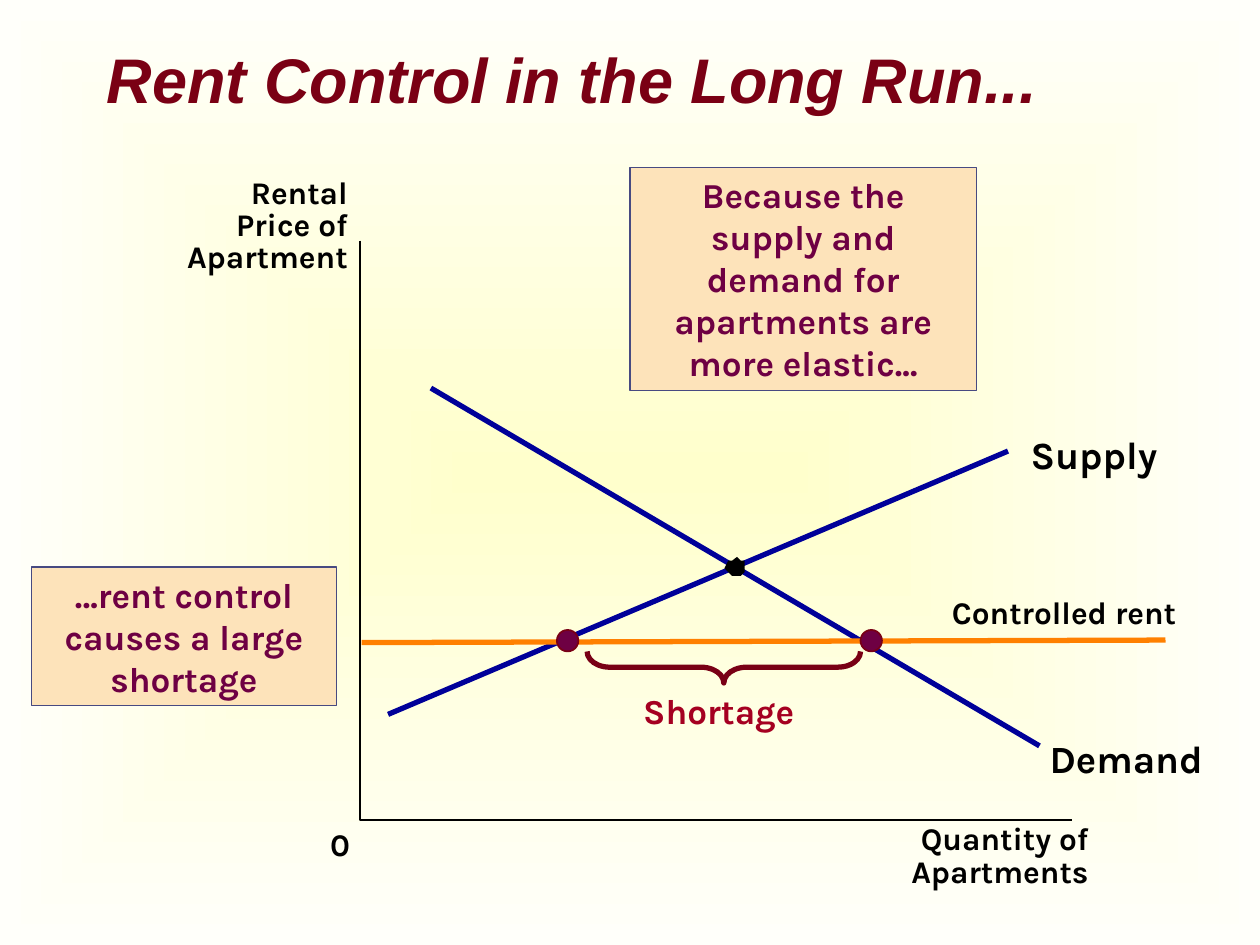
from lxml import etree
from pptx import Presentation
from pptx.dml.color import RGBColor
from pptx.enum.dml import MSO_THEME_COLOR
from pptx.enum.shapes import MSO_CONNECTOR, MSO_SHAPE
from pptx.enum.text import MSO_ANCHOR, MSO_AUTO_SIZE, PP_ALIGN
from pptx.oxml.ns import qn
from pptx.util import Inches, Pt

LEFT, CENTER, RIGHT = PP_ALIGN.LEFT, PP_ALIGN.CENTER, PP_ALIGN.RIGHT
TOP, MIDDLE = MSO_ANCHOR.TOP, MSO_ANCHOR.MIDDLE
FIT = MSO_AUTO_SIZE.SHAPE_TO_FIT_TEXT
STRAIGHT = MSO_CONNECTOR.STRAIGHT
RECTANGLE, OVAL, BRACE = MSO_SHAPE.RECTANGLE, MSO_SHAPE.OVAL, MSO_SHAPE.LEFT_BRACE
ACCENT = MSO_THEME_COLOR.ACCENT_1

BLACK = RGBColor(0x00, 0x00, 0x00)
NAVY = RGBColor(0x00, 0x00, 0x99)
ORANGE = RGBColor(0xFF, 0x80, 0x00)
MAROON = RGBColor(0x7A, 0x00, 0x14)
DARK_RED = RGBColor(0x79, 0x00, 0x15)
RED = RGBColor(0xA5, 0x00, 0x21)
PLUM = RGBColor(0x6E, 0x00, 0x43)
PEACH = RGBColor(0xFD, 0xE3, 0xBA)
SLATE = RGBColor(0x47, 0x4A, 0x81)
CREAM = RGBColor(0xFF, 0xFF, 0xCC)
IVORY = RGBColor(0xFF, 0xFF, 0xFA)

TITLE = "Rent Control in the Long Run..."
LABELS = [
    (["Quantity of", "Apartments"], (7.15, 6.55, 1.49, 0.51), 18, RIGHT, 0.85, False),
    (["0"], (2.62, 6.55, 0.14, 0.3), 18, LEFT, 1, False),
    (["Rental Price of", "Apartment"], (1.42, 1.42, 1.34, 1.28), 18, RIGHT, 0.85, True),
    (["Demand"], (8.33, 5.83, 1.28, 0.37), 22, LEFT, 1, False),
    (["Supply"], (8.18, 3.42, 1.02, 0.37), 22, LEFT, 1, False),
    (["Controlled rent"], (7.49, 4.75, 1.91, 0.26), 18, CENTER, 0.85, False),
]
SHORTAGE = (["Shortage"], (4.83, 5.42, 1.75, 0.44))
CALLOUTS = [
    (["Because the supply and demand for apartments are more elastic..."], (5, 1.33, 2.75, 1.77)),
    (["…rent control causes a large shortage"], (0.25, 4.5, 2.42, 1.1)),
]
CURVES = [
    ((3.42, 3.08), (8.25, 5.92), NAVY),
    ((3.08, 5.67), (8, 3.58), NAVY),
    ((9.25, 5.08), (2.87, 5.1), ORANGE),
]
AXES = [(2.86, 1.91), (2.86, 6.51), (8.51, 6.51)]
EQUILIBRIUM = [(5.85, 4.57), (5.88, 4.57), (5.91, 4.54), (5.91, 4.45), (5.88, 4.45), (5.85, 4.42),
               (5.81, 4.45), (5.78, 4.45), (5.75, 4.51), (5.78, 4.54), (5.81, 4.57)]
SHORTAGE_ENDS = [6.83, 4.42]
DOT_TOP, DOT_SIZE = 5, 0.17
BRACE_AREA = (5.62, 4.21, 0.25, 2.17)
BRACE_CURVE = 0.72


def inches(values):
    return [Inches(value) for value in values]


def write(box, lines, size, color, align, spacing=1, wrap=True, margins=(0, 0),
          anchor=TOP, font="Karla", italic=False, fit=True):
    frame = box.text_frame
    frame.word_wrap = wrap
    if fit:
        frame.auto_size = FIT
    frame.vertical_anchor = anchor
    frame.margin_left = frame.margin_right = Inches(margins[0])
    frame.margin_top = frame.margin_bottom = Inches(margins[1])
    frame.text = "\n".join(lines)
    for para in frame.paragraphs:
        para.alignment = align
        para.line_spacing = spacing
        para.font.name = font
        para.font.size = Pt(size)
        para.font.bold = True
        para.font.italic = italic
        para.font.color.rgb = color


def paint(shape, fill, line, width=1):
    shape.shadow.inherit = False
    if fill is None:
        shape.fill.background()
    else:
        shape.fill.solid()
        shape.fill.fore_color.rgb = fill
    if line is None:
        shape.line.fill.background()
    else:
        shape.line.color.rgb = line
        shape.line.width = Pt(width)


def add_outline(page, points, closed):
    start, *others = [inches(point) for point in points]
    builder = page.shapes.build_freeform(*start)
    builder.add_line_segments(others, close=closed)
    return builder.convert_to_shape()


def set_background(page):
    fill = page.background.fill
    fill.gradient()
    for stop, color, position in zip(fill.gradient_stops, (CREAM, IVORY), (0, 1)):
        stop.color.theme_color = ACCENT
        stop.color.rgb = color
        stop.position = position
    gradient = page._element.find(".//" + qn("a:gradFill"))
    gradient.remove(gradient.find(qn("a:lin")))
    spread = etree.SubElement(gradient, qn("a:path"), {"path": "rect"})
    etree.SubElement(spread, qn("a:fillToRect"), {side: "50000" for side in "ltrb"})


def main():
    deck = Presentation()
    deck.slide_width, deck.slide_height = Inches(10), Inches(7.5)
    page = deck.slides.add_slide(deck.slide_layouts[6])
    shapes = page.shapes
    set_background(page)

    title = shapes.add_textbox(*inches((0.75, 0, 8.5, 1.25)))
    write(title, [TITLE], 36, MAROON, LEFT, margins=(0.1, 0.05), anchor=MIDDLE,
          font="Arial", italic=True, fit=False)
    for lines, area, size, align, spacing, wrap in LABELS:
        write(shapes.add_textbox(*inches(area)), lines, size, BLACK, align, spacing, wrap)

    for start, end, color in CURVES:
        curve = shapes.add_connector(STRAIGHT, *inches(start + end))
        curve.line.color.rgb = color
        curve.line.width = Pt(3)
        etree.SubElement(curve._element.spPr, qn("a:effectLst"))

    paint(add_outline(page, AXES, False), None, BLACK)
    paint(add_outline(page, EQUILIBRIUM, True), BLACK, None)

    lines, area = SHORTAGE
    write(shapes.add_textbox(*inches(area)), lines, 20, RED, CENTER, margins=(0.1, 0.05))
    brace = shapes.add_shape(BRACE, *inches(BRACE_AREA))
    brace.rotation = 270
    brace.adjustments[0] = BRACE_CURVE
    paint(brace, None, DARK_RED, 3)

    for left in SHORTAGE_ENDS:
        dot = shapes.add_shape(OVAL, *inches((left, DOT_TOP, DOT_SIZE, DOT_SIZE)))
        paint(dot, PLUM, DARK_RED)

    for lines, area in CALLOUTS:
        callout = shapes.add_shape(RECTANGLE, *inches(area))
        paint(callout, PEACH, SLATE)
        write(callout, lines, 20, PLUM, CENTER, margins=(0.1, 0.05))

    deck.save("out.pptx")


if __name__ == "__main__":
    main()
